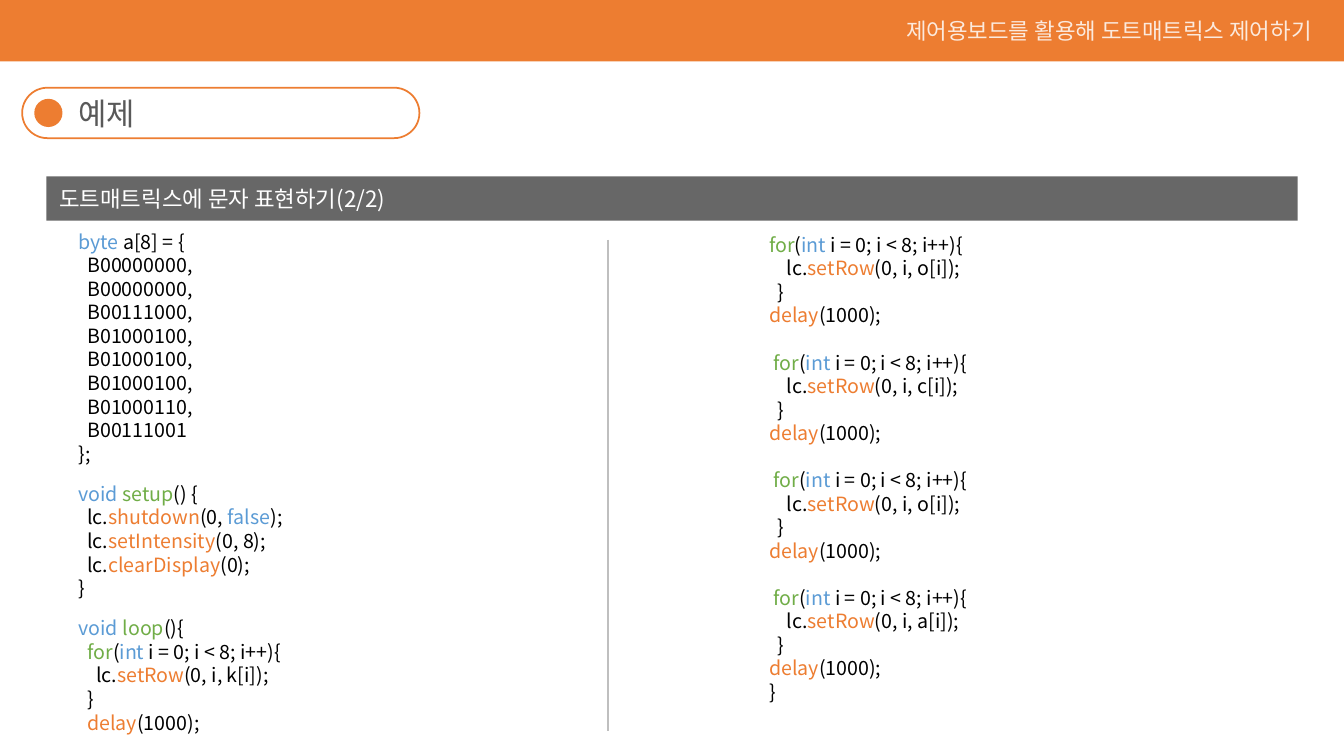
from dataclasses import dataclass
from itertools import groupby

from lxml import etree
from pptx import Presentation
from pptx import util as u
from pptx.dml import color
from pptx.enum import shapes, text
from pptx.oxml import ns


@dataclass(frozen=True)
class Theme:
    orange: str = "ED7D31"
    gray: str = "595959"
    rule: str = "BFBFBF"
    white: str = "FFFFFF"
    black: str = "000000"
    blue: str = "5B9BD5"
    green: str = "70AD47"
    font: str = "Noto Sans CJK KR"
    title_size: int = 22
    label_size: int = 16
    code_size: int = 14
    line_height: float = 1.2


THEME = Theme()
SYNTAX = {
    THEME.blue: ("byte", "int", "void", "false"),
    THEME.green: ("setup", "loop", "for"),
    THEME.orange: ("shutdown", "setIntensity", "clearDisplay", "setRow", "delay"),
}
WORD_COLORS = {word: tint for tint, words in SYNTAX.items() for word in words}


def word_color(word):
    return WORD_COLORS.get(word, THEME.black)


class SlideBuilder:
    """Places elements by percentages of the slide's width and height."""

    def __init__(self, presentation, theme):
        self.theme = theme
        self.width = presentation.slide_width
        self.height = presentation.slide_height
        self.slide = presentation.slides.add_slide(presentation.slide_layouts[6])

    def place(self, left, top, width, height):
        return (int(self.width * left / 100), int(self.height * top / 100),
                int(self.width * width / 100), int(self.height * height / 100))

    def paint(self, fill, tint, opacity=100):
        fill.solid()
        fill.fore_color.rgb = color.RGBColor.from_string(tint)
        if opacity < 100:
            for rgb in fill._xPr.iter(ns.qn("a:srgbClr")):
                etree.SubElement(rgb, ns.qn("a:alpha"), val=str(opacity * 1000))

    def block(self, kind, box, fill, line=None, opacity=100):
        shape = self.slide.shapes.add_shape(kind, *self.place(*box))
        shape.shadow.inherit = False
        self.paint(shape.fill, fill, opacity)
        if line:
            shape.line.color.rgb = color.RGBColor.from_string(line)
            shape.line.width = u.Pt(1.25)
        else:
            shape.line.fill.background()
        return shape

    def style(self, run, size, tint, opacity=100):
        run.font.size = u.Pt(size)
        self.paint(run.font.fill, tint, opacity)
        run.font.name = self.theme.font
        etree.SubElement(run.font._element, ns.qn("a:ea"), typeface=self.theme.font)

    def text_frame(self, box):
        frame = self.slide.shapes.add_textbox(*self.place(*box)).text_frame
        frame.word_wrap = True
        return frame

    def label(self, words, box, size, tint, opacity=100, align=text.PP_ALIGN.LEFT):
        paragraph = self.text_frame(box).paragraphs[0]
        paragraph.text = words
        paragraph.alignment = align
        paragraph.line_spacing = u.Pt(size * self.theme.line_height)
        self.style(paragraph.runs[0], size, tint, opacity)

    def code(self, sections, box, gap):
        """Writes highlighted code, with a gap in points between sections."""
        frame = self.text_frame(box)
        size = self.theme.code_size
        paragraph = frame.paragraphs[0]
        for section_number, section in enumerate(sections):
            for line_number, line in enumerate(section.splitlines()):
                if section_number or line_number:
                    paragraph = frame.add_paragraph()
                paragraph.line_spacing = u.Pt(size * self.theme.line_height)
                if section_number and not line_number:
                    paragraph.space_before = u.Pt(gap)
                words = ["".join(part) for _, part in groupby(line, str.isalnum)]
                for tint, part in groupby(words, word_color):
                    run = paragraph.add_run()
                    run.text = "".join(part)
                    self.style(run, size, tint)

    def divider(self, x, top, bottom):
        left, start, _, end = self.place(x, top, 0, bottom)
        line = self.slide.shapes.add_connector(
            shapes.MSO_CONNECTOR.STRAIGHT, left, start, left, end)
        line.line.color.rgb = color.RGBColor.from_string(self.theme.rule)
        line.line.width = u.Pt(1.75)
        etree.SubElement(line._element.spPr, ns.qn("a:effectLst"))


SETUP_CODE = [
    """byte a[8] = {
  B00000000,
  B00000000,
  B00111000,
  B01000100,
  B01000100,
  B01000100,
  B01000110,
  B00111001
};""",
    """void setup() {
  lc.shutdown(0, false);
  lc.setIntensity(0, 8);
  lc.clearDisplay(0);
}""",
    """void loop(){
  for(int i = 0; i < 8; i++){
    lc.setRow(0, i, k[i]);
  }
  delay(1000);""",
]
LETTER_LOOP = """ for(int i = 0; i < 8; i++){
    lc.setRow(0, i, %s[i]);
  }
delay(1000);"""


def main():
    presentation = Presentation()
    presentation.slide_width = u.Inches(13.33)
    presentation.slide_height = u.Inches(7.5)
    builder = SlideBuilder(presentation, THEME)
    kinds = shapes.MSO_SHAPE

    # Title pill
    pill = builder.block(kinds.ROUNDED_RECTANGLE, (1.65, 11.6, 29.56, 6.67),
                         THEME.white, line=THEME.orange)
    pill.adjustments[0] = 0.5
    builder.block(kinds.OVAL, (2.55, 13.07, 2.1, 3.73), THEME.orange)
    builder.label("예제", (-1.13, 11.87, 18.08, 6.27), THEME.title_size,
                  THEME.gray, align=text.PP_ALIGN.CENTER)

    # Header band
    builder.block(kinds.RECTANGLE, (0, 0, 100, 8.13), THEME.orange)
    builder.label("제어용보드를 활용해 도트매트릭스 제어하기",
                  (66.69, 1.6, 33.31, 4.93), THEME.label_size, THEME.white, opacity=83)

    # Section bar
    builder.block(kinds.RECTANGLE, (3.45, 23.33, 93.1, 5.87), THEME.gray, opacity=91)
    builder.label("도트매트릭스에 문자 표현하기(2/2)",
                  (3.68, 23.87, 47.41, 4.93), THEME.label_size, THEME.white)

    # Code columns
    builder.code(SETUP_CODE, (5.1, 29.73, 33, 70.27), gap=12)
    letter_loops = [LETTER_LOOP % letter for letter in "ocoa"]
    letter_loops[0] = letter_loops[0].lstrip()
    letter_loops[-1] += "\n}"
    builder.code(letter_loops, (56.49, 30.13, 21, 64.13), gap=16.8)
    builder.divider(45.24, 31.73, 96.67)

    presentation.save("out.pptx")


if __name__ == "__main__":
    main()
